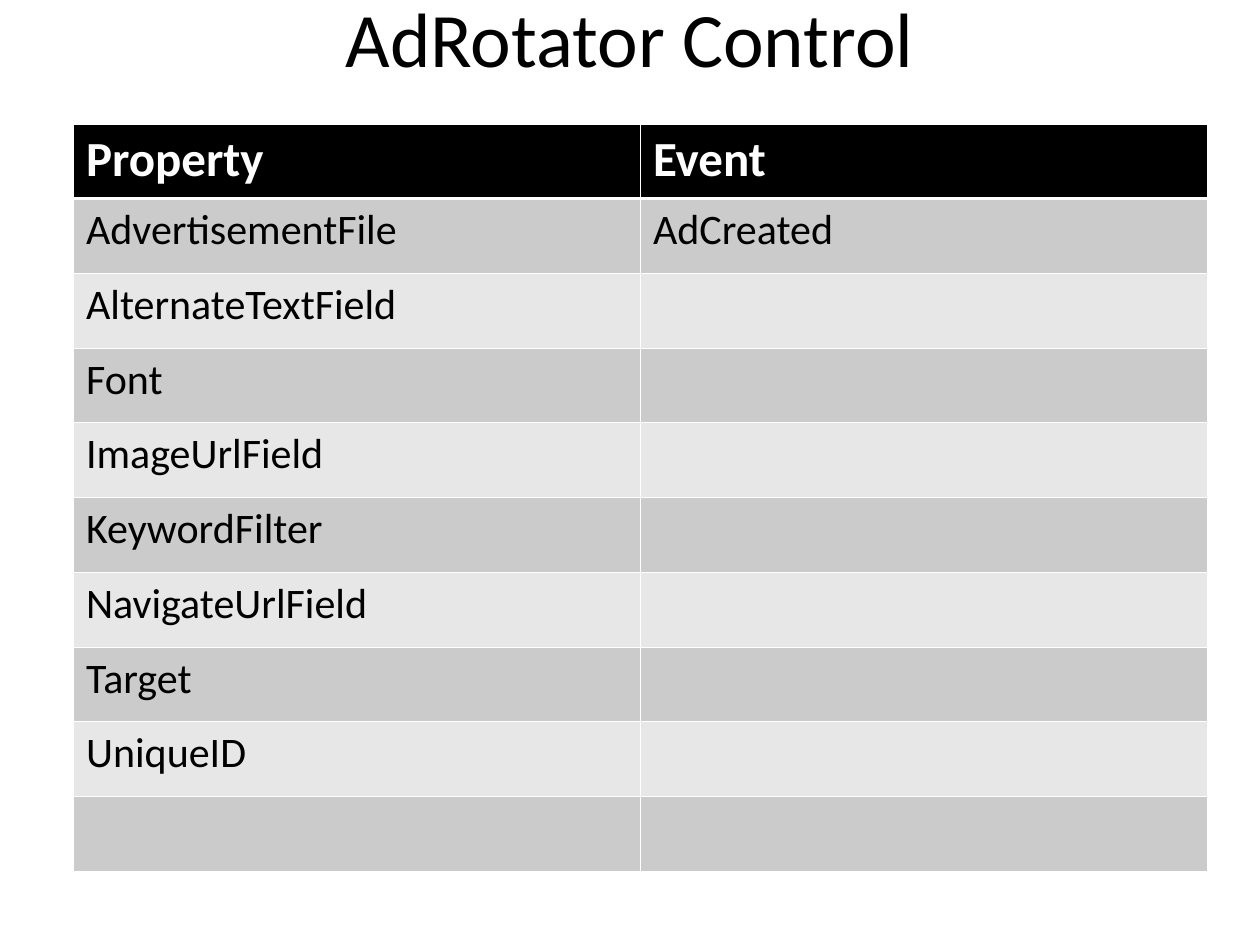
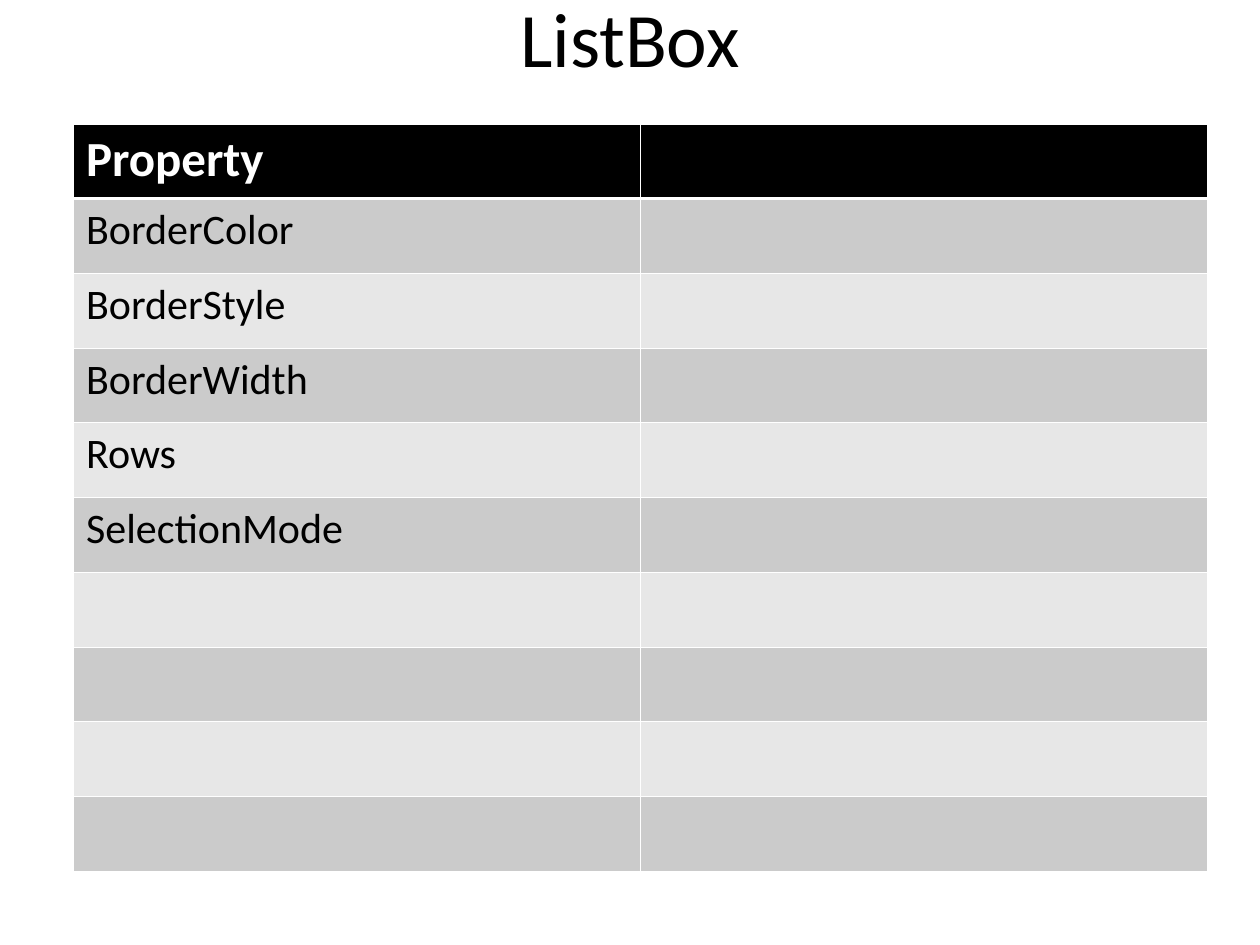
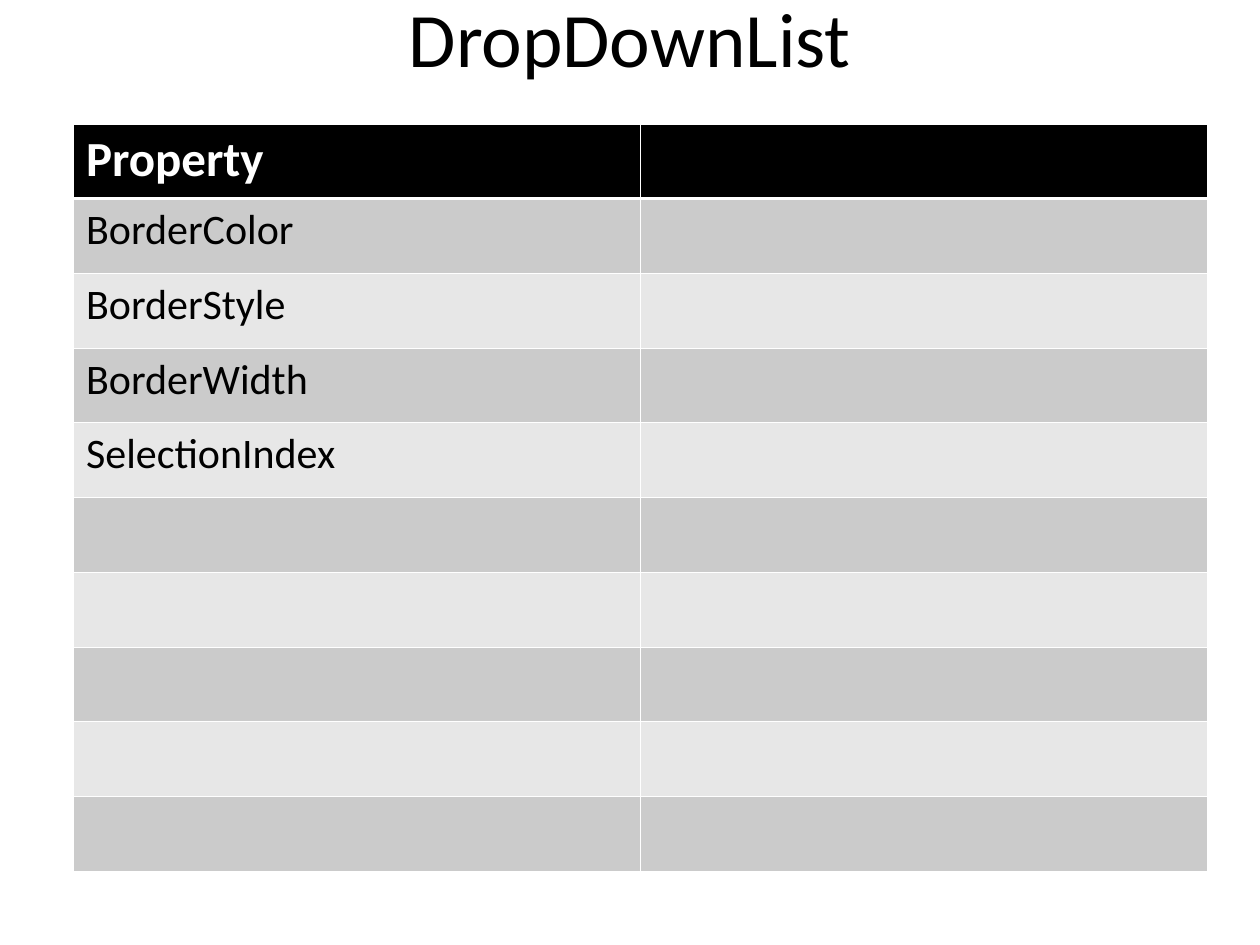
from lxml.etree import SubElement
from pptx import Presentation
from pptx.dml.color import RGBColor
from pptx.enum.text import MSO_ANCHOR, PP_ALIGN
from pptx.oxml.ns import qn
from pptx.util import Pt

FONT = "Calibri"
COLORS = {
    "text": "000000",
    "header": "000000",
    "header_text": "FFFFFF",
    "rule": "FFFFFF",
    "odd_row": "CBCBCB",
    "even_row": "E7E7E7",
}
THIN_RULE, HEADER_RULE = 0.45, 1.47
ROW_COUNT, COLUMN_COUNT = 10, 2
ROW_HEIGHT, COLUMN_WIDTH = 42.7, 324

CONTROLS = [
    (
        "AdRotator Control",
        [
            ["Property", "AdvertisementFile", "AlternateTextField", "Font",
             "ImageUrlField", "KeywordFilter", "NavigateUrlField", "Target", "UniqueID"],
            ["Event", "AdCreated"],
        ],
    ),
    (
        "ListBox",
        [["Property", "BorderColor", "BorderStyle", "BorderWidth", "Rows", "SelectionMode"]],
    ),
    (
        "DropDownList",
        [["Property", "BorderColor", "BorderStyle", "BorderWidth", "SelectionIndex"]],
    ),
]


def write_text(frame, text, size, color="text", bold=False, align=PP_ALIGN.LEFT):
    paragraph = frame.paragraphs[0]
    paragraph.alignment = align
    run = paragraph.add_run()
    run.text = text
    run.font.name = FONT
    run.font.size = Pt(size)
    run.font.bold = bold
    run.font.color.rgb = RGBColor.from_string(COLORS[color])


def add_borders(cell, top, bottom):
    """Rule all four sides; must run before the cell is filled."""
    properties = cell._tc.get_or_add_tcPr()
    for side, width in (("L", THIN_RULE), ("R", THIN_RULE), ("T", top), ("B", bottom)):
        line = SubElement(properties, qn(f"a:ln{side}"), w=str(int(Pt(width))))
        fill = SubElement(line, qn("a:solidFill"))
        SubElement(fill, qn("a:srgbClr"), val=COLORS["rule"])


prs = Presentation()
prs.slide_width, prs.slide_height = Pt(720), Pt(540)
title_only = prs.slide_layouts[5]

for control, columns in CONTROLS:
    slide = prs.slides.add_slide(title_only)
    title = slide.shapes.title
    title.left, title.top, title.width, title.height = Pt(36), Pt(-23.75), Pt(648), Pt(90)
    title.text_frame.vertical_anchor = MSO_ANCHOR.MIDDLE
    write_text(title.text_frame, control, size=44, align=PP_ALIGN.CENTER)

    members = slide.shapes.add_table(
        ROW_COUNT, COLUMN_COUNT, Pt(42), Pt(70.8),
        Pt(COLUMN_WIDTH * COLUMN_COUNT), Pt(ROW_HEIGHT * ROW_COUNT),
    ).table
    for column in members.columns:
        column.width = Pt(COLUMN_WIDTH)

    for r, row in enumerate(members.rows):
        row.height = Pt(ROW_HEIGHT)
        is_header = r == 0
        row_color = "header" if is_header else "odd_row" if r % 2 else "even_row"
        for c, cell in enumerate(row.cells):
            add_borders(
                cell,
                top=HEADER_RULE if r == 1 else THIN_RULE,
                bottom=HEADER_RULE if is_header else THIN_RULE,
            )
            cell.fill.solid()
            cell.fill.fore_color.rgb = RGBColor.from_string(COLORS[row_color])
            if c < len(columns) and r < len(columns[c]):
                write_text(
                    cell.text_frame, columns[c][r],
                    size=28 if is_header else 24,
                    color="header_text" if is_header else "text",
                    bold=is_header,
                )

prs.save("out.pptx")
